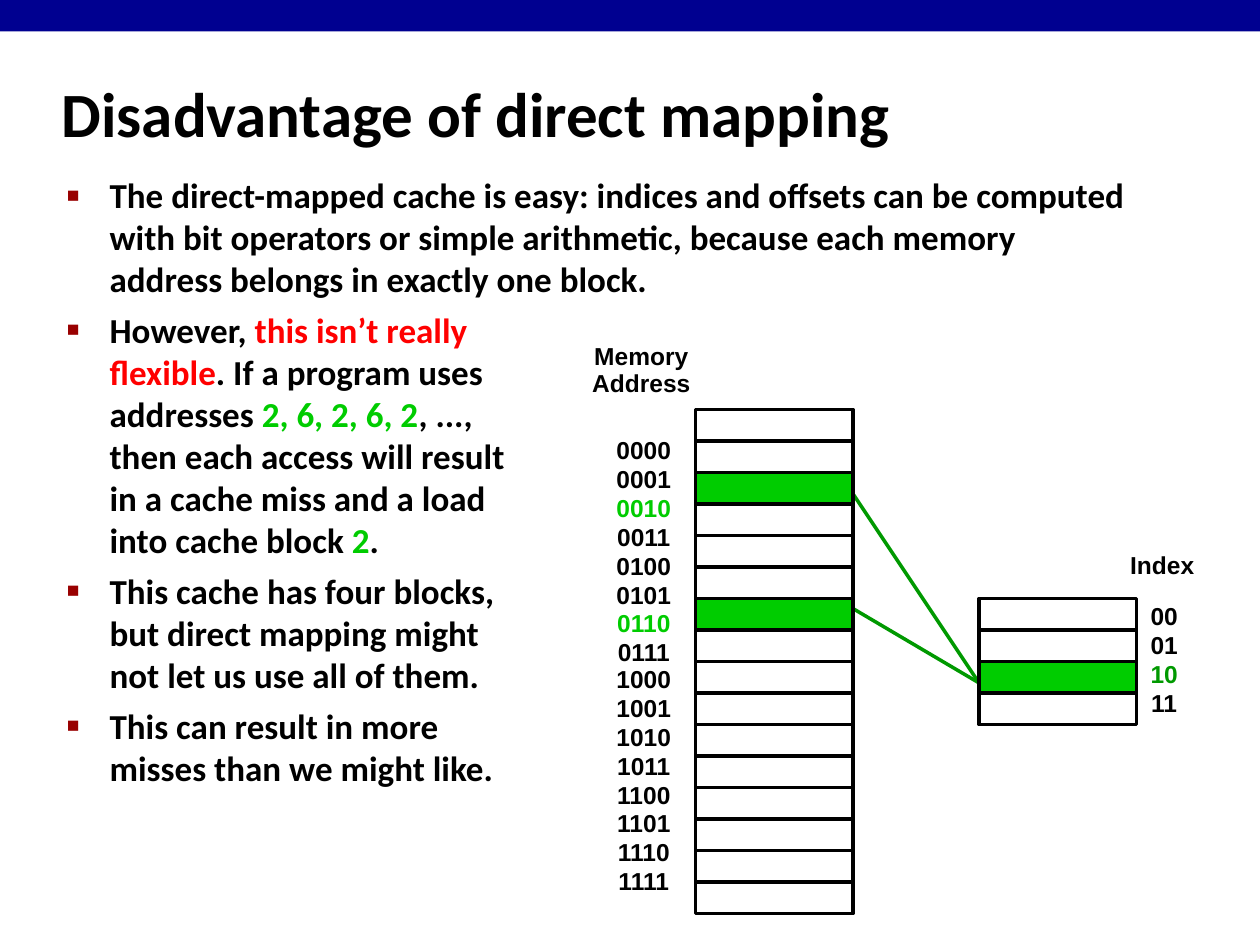
from lxml import etree
from pptx import Presentation
from pptx.dml.color import RGBColor
from pptx.enum.shapes import MSO_CONNECTOR, MSO_SHAPE
from pptx.enum.text import MSO_ANCHOR, MSO_AUTO_SIZE, PP_ALIGN
from pptx.oxml.ns import qn
from pptx.util import Inches, Pt

BLACK, RED, GREEN, DARK_GREEN = "000000", "FF0000", "00CC00", "009900"
NAVY, MAROON = "000090", "990000"
CELL_W, CELL_H = 1.25, 0.25

# Each bullet is a list of lines, each line a list of (text, colour) runs.
BULLETS = [
    [[("The direct-mapped cache is easy: indices and offsets can be computed "
       "with bit operators or simple arithmetic, because each memory "
       "address belongs in exactly one block.", BLACK)]],
    [[("However, ", BLACK), ("this isn’t really", RED)],
     [("flexible", RED), (". If a program uses", BLACK)],
     [("addresses ", BLACK), ("2, 6, 2, 6, 2", GREEN), (", ...,", BLACK)],
     [("then each access will result", BLACK)],
     [("in a cache miss and a load", BLACK)],
     [("into cache block ", BLACK), ("2", GREEN), (".", BLACK)]],
    [[("This cache has four blocks,", BLACK)],
     [("but direct mapping might", BLACK)],
     [("not let us use all of them.", BLACK)]],
    [[("This can result in more", BLACK)],
     [("misses than we might like.", BLACK)]],
]


def rgb(value):
    return RGBColor.from_string(value)


def place(sp, left, top, width, height):
    sp.left, sp.top = Inches(left), Inches(top)
    sp.width, sp.height = Inches(width), Inches(height)


def add_run(p, text, size, font, color):
    r = p.add_run()
    r.text = text
    r.font.size, r.font.name, r.font.bold = Pt(size), font, True
    r.font.color.rgb = rgb(color)


def add_rect(slide, left, top, width, height, fill=None, line=None):
    sp = slide.shapes.add_shape(MSO_SHAPE.RECTANGLE, Inches(left), Inches(top),
                                Inches(width), Inches(height))
    sp.shadow.inherit = False
    if fill:
        sp.fill.solid()
        sp.fill.fore_color.rgb = rgb(fill)
    else:
        sp.fill.background()
    if line:
        sp.line.color.rgb = rgb(line)
        sp.line.width = Pt(2)
    else:
        sp.line.fill.background()


def add_title(slide, text, *box):
    sp = slide.shapes.title
    place(sp, *box)
    tf = sp.text_frame
    tf.auto_size = MSO_AUTO_SIZE.NONE
    tf.vertical_anchor = MSO_ANCHOR.MIDDLE
    p = tf.paragraphs[0]
    p.alignment = PP_ALIGN.LEFT
    add_run(p, text, 36, "Calibri", BLACK)


def set_bullet(p):
    pPr = p._p.get_or_add_pPr()
    pPr.set("marL", str(Inches(0.34)))
    pPr.set("indent", str(Inches(-0.34)))
    color = etree.SubElement(pPr, qn("a:buClr"))
    etree.SubElement(color, qn("a:srgbClr"), val=MAROON)
    etree.SubElement(pPr, qn("a:buSzPct"), val="60000")
    etree.SubElement(pPr, qn("a:buFont"), typeface="Arial")
    etree.SubElement(pPr, qn("a:buChar"), char="■")


def add_bullets(slide, bullets, *box):
    sp = slide.placeholders[1]
    place(sp, *box)
    tf = sp.text_frame
    tf.auto_size = MSO_AUTO_SIZE.NONE
    for i, lines in enumerate(bullets):
        p = tf.add_paragraph() if i else tf.paragraphs[0]
        set_bullet(p)
        p.space_before = Pt(5 if i else 0)
        for n, line in enumerate(lines):
            if n:
                p.add_line_break()
            for text, color in line:
                add_run(p, text, 20, "Calibri", color)


def add_labels(slide, labels, box, marked=(), mark=GREEN, gap=1.4, tight=()):
    """Stack centred labels; those at the tight positions get no gap above."""
    sp = slide.shapes.add_textbox(*map(Inches, box))
    tf = sp.text_frame
    tf.word_wrap = False
    tf.auto_size = MSO_AUTO_SIZE.SHAPE_TO_FIT_TEXT
    tf.vertical_anchor = MSO_ANCHOR.MIDDLE
    tf.margin_left = tf.margin_right = Inches(0.11)
    tf.margin_top = tf.margin_bottom = Inches(0.06)
    for i, label in enumerate(labels):
        p = tf.add_paragraph() if i else tf.paragraphs[0]
        p.alignment = PP_ALIGN.CENTER
        p.line_spacing = 0.9
        p.space_before = Pt(gap if i and i not in tight else 0)
        add_run(p, label, 14, "Arial", mark if i in marked else BLACK)


def add_cells(slide, left, top, count, marked):
    for i in range(count):
        add_rect(slide, left, top + i * CELL_H, CELL_W, CELL_H,
                 GREEN if i in marked else None, BLACK)


def add_memory(slide, left, top):
    used = (2, 6)
    add_cells(slide, left, top, 16, used)
    add_labels(slide, [f"{n:04b}" for n in range(16)],
               (left - 0.74, top + 0.17, 0.66, 3.75), used, tight=(8,))
    add_labels(slide, ["Memory", "Address"],
               (left - 0.93, top - 0.57, 1, 0.53), gap=0)


def add_cache(slide, left, top):
    used = (2,)
    add_cells(slide, left, top, 4, used)
    add_labels(slide, [f"{n:02b}" for n in range(4)],
               (left + CELL_W, top - 0.01, 0.44, 1.01), used, DARK_GREEN)
    add_labels(slide, ["Index"], (left + 1.09, top - 0.41, 0.73, 0.32))


def add_mapping_line(slide, *ends):
    line = slide.shapes.add_connector(MSO_CONNECTOR.STRAIGHT, *map(Inches, ends))
    line.line.color.rgb = rgb(DARK_GREEN)
    line.line.width = Pt(2)
    etree.SubElement(line._element.spPr, qn("a:effectLst"))


def add_mapping(slide, left, top):
    """Draw the memory, the cache to its right and the lines joining them."""
    cache_left, cache_top = left + 2.25, top + 1.5
    for drop in (0.67, 1.58):
        add_mapping_line(slide, cache_left, cache_top + 0.67,
                         left + CELL_W, top + drop)
    add_cache(slide, cache_left, cache_top)
    add_memory(slide, left, top)


def main():
    prs = Presentation()
    prs.slide_width, prs.slide_height = Inches(10), Inches(7.5)
    slide = prs.slides.add_slide(prs.slide_layouts[1])
    add_rect(slide, 0, 0, 10, 0.25, NAVY)
    add_title(slide, "Disadvantage of direct mapping", 0.39, 0.48, 8.3, 0.83)
    add_bullets(slide, BULLETS, 0.43, 1.33, 8.64, 5.59)
    add_mapping(slide, 5.52, 3.25)
    prs.save("out.pptx")


if __name__ == "__main__":
    main()
